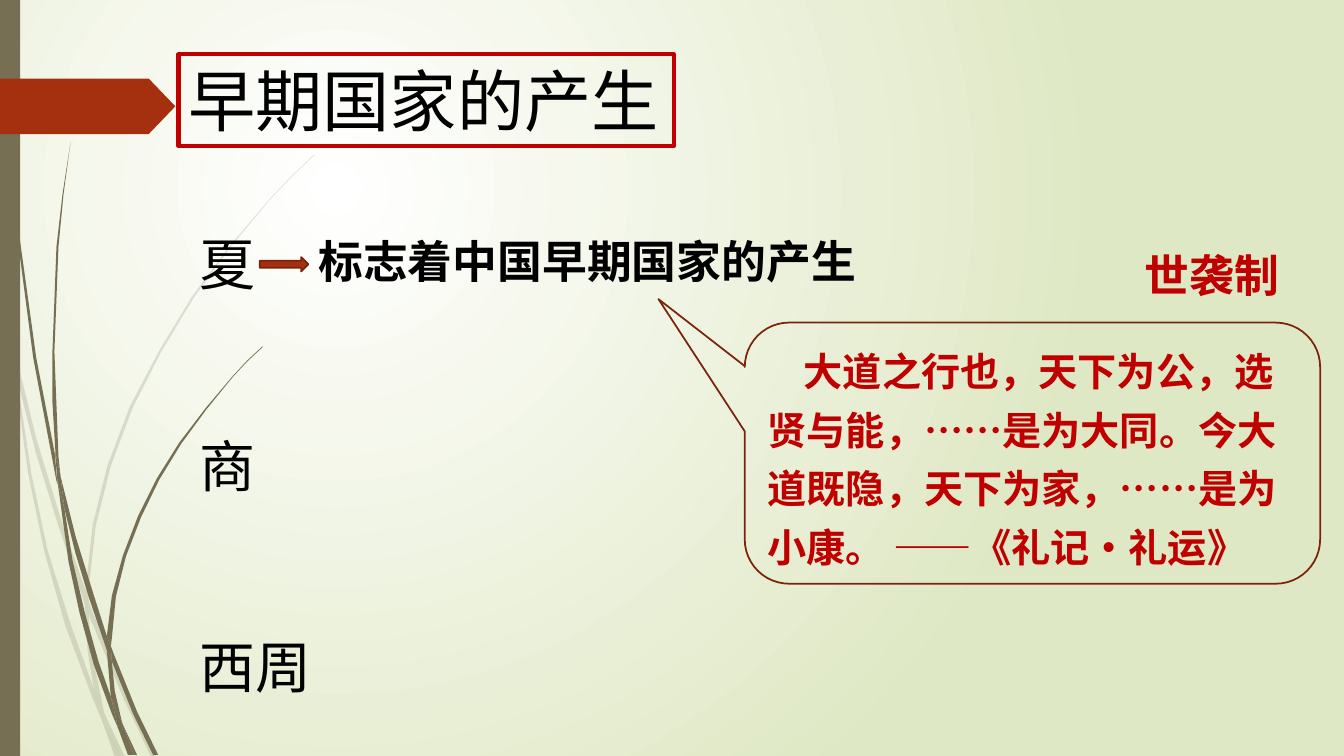
from dataclasses import dataclass

from lxml.etree import SubElement
from pptx import Presentation
from pptx.dml.color import RGBColor as Rgb
from pptx.enum.shapes import MSO_SHAPE as Preset
from pptx.enum.text import MSO_ANCHOR as Anchor, PP_ALIGN as Align
from pptx.oxml.ns import qn
from pptx.shapes.autoshape import Shape
from pptx.slide import Slide
from pptx.text.text import TextFrame
from pptx.util import Cm, Pt

Outline = tuple[tuple[int, int], ...]
GRASS_UNIT = Cm(0.0254)


@dataclass(frozen=True)
class Theme:
    """Colours, fonts and type sizes of the slide."""
    glow: Rgb = Rgb(0xFF, 0xFF, 0xFF)
    meadow: Rgb = Rgb(0xDF, 0xE8, 0xC4)
    stem: Rgb = Rgb(0x76, 0x6F, 0x54)
    rust: Rgb = Rgb(0xA5, 0x30, 0x10)
    rust_edge: Rgb = Rgb(0x7A, 0x24, 0x0C)
    crimson: Rgb = Rgb(0xC0, 0x00, 0x00)
    ink: Rgb = Rgb(0x00, 0x00, 0x00)
    title_font: str = "Noto Sans CJK JP"
    body_font: str = "Noto Sans CJK SC"
    title: int = 48
    dynasty: int = 40
    remark: int = 32
    quote: int = 28


THEME = Theme()


@dataclass(frozen=True)
class Box:
    """A rectangle in centimetres."""
    left: float
    top: float
    width: float
    height: float

    def lengths(self) -> tuple[Cm, Cm, Cm, Cm]:
        """Return the four lengths for a shape call."""
        return Cm(self.left), Cm(self.top), Cm(self.width), Cm(self.height)


@dataclass(frozen=True)
class Tuft:
    """A tuft of grass whose blade outlines are counted in grass units."""
    opacity: int
    blades: tuple[Outline, ...]


@dataclass(frozen=True)
class Label:
    """A line or column of unwrapped text."""
    box: Box
    lines: tuple[str, ...]
    size: int
    font: str = THEME.body_font
    color: Rgb = THEME.ink
    bold: bool = False
    gap: float = 0


FAINT_TUFT = Tuft(20, (
    ((11, 350), (9, 322), (0, 282), (0, 299), (10, 344)),
    ((58, 522), (84, 599), (85, 586), (62, 520), (36, 435), (14, 345), (17, 376), (36, 451)),
    ((92, 607), (88, 596), (88, 610), (123, 694), (150, 751), (155, 751), (127, 692)),
    ((119, 751), (124, 751), (105, 711)),
    ((93, 683), (70, 619), (47, 545), (31, 469), (17, 376), (11, 350), (28, 470), (44, 547),
     (65, 621), (92, 693), (101, 714), (99, 707)),
    ((84, 599), (87, 646), (93, 683), (96, 692), (105, 711), (103, 706), (91, 646), (88, 610), (88, 608)),
    ((88, 584), (95, 522), (110, 462), (132, 404), (160, 349), (192, 296), (229, 245), (268, 198),
     (290, 175), (312, 154), (312, 153), (289, 175), (268, 197), (228, 244), (190, 295), (158, 348),
     (129, 403), (107, 461), (92, 521), (85, 584), (85, 586), (88, 596)),
    ((101, 714), (114, 751), (119, 751)),
    ((88, 608), (88, 610), (88, 596), (85, 586), (84, 599)),
    ((96, 692), (93, 683), (99, 707), (101, 714), (119, 751), (105, 711)),
))
DARK_TUFT = Tuft(100, (
    ((7, 110), (17, 233), (33, 355), (56, 477), (57, 481), (55, 457), (55, 453), (36, 355), (19, 232),
     (8, 109), (5, 48), (4, 0), (3, 0), (4, 48)),
    ((88, 592), (106, 645), (106, 633), (106, 631), (93, 590), (75, 532), (60, 472), (64, 505), (75, 549)),
    ((113, 649), (110, 641), (111, 656), (132, 708), (152, 749), (157, 749), (136, 706)),
    ((110, 691), (98, 657), (84, 607), (72, 556), (64, 505), (57, 477), (68, 557), (79, 608),
     (93, 659), (111, 708), (117, 722), (116, 717)),
    ((60, 472), (58, 453), (54, 349), (58, 245), (63, 193), (70, 141), (62, 193), (56, 245),
     (52, 349), (52, 399), (55, 449)),
    ((133, 749), (136, 749), (122, 719)),
    ((57, 477), (64, 505), (60, 472), (55, 449), (55, 453)),
    ((111, 633), (115, 592), (125, 552), (140, 513), (158, 476), (180, 440), (205, 406), (231, 374),
     (245, 359), (261, 344), (260, 344), (245, 358), (231, 373), (204, 405), (178, 439), (156, 474),
     (137, 512), (122, 551), (111, 591), (106, 631), (110, 641)),
    ((117, 722), (127, 749), (131, 749)),
    ((106, 645), (110, 691), (116, 706), (122, 719), (121, 716), (114, 686), (111, 656), (109, 651)),
    ((106, 645), (109, 651), (111, 656), (110, 641), (106, 631)),
    ((116, 706), (110, 691), (116, 717), (117, 722), (130, 749), (133, 749), (122, 719)),
))

TITLE_BOX = Box(4.5, 1.37, 12.48, 2.31)
QUOTE = "大道之行也，天下为公，选贤与能，……是为大同。今大道既隐，天下为家，……是为小康。 ——《礼记•礼运》"
LABELS = (
    Label(TITLE_BOX, ("早期国家的产生",), THEME.title, THEME.title_font),
    Label(Box(4.78, 5.66, 3.35, 12.22), ("夏", "商", "西周"), THEME.dynasty, gap=96),
    Label(Box(7.77, 5.77, 14.25, 1.63), ("标志着中国早期国家的产生",), THEME.remark, bold=True),
    Label(Box(28.6, 6.13, 3.94, 1.63), ("世袭制",), THEME.remark, color=THEME.crimson, bold=True),
)


def write(frame: TextFrame, lines: tuple[str, ...], *, size: int, font: str, color: Rgb,
          bold: bool = False, gap: float = 0, leading: float = 0, indent: float = 0) -> None:
    """Fill a text frame with one formatted paragraph per line."""
    for index, line in enumerate(lines):
        paragraph = frame.add_paragraph() if index else frame.paragraphs[0]
        paragraph.alignment = Align.LEFT
        paragraph.space_before = Pt(gap if index else 0)
        if leading:
            paragraph.line_spacing = Pt(leading)
        if indent:
            paragraph._p.get_or_add_pPr().set("indent", str(Cm(indent)))
        run = paragraph.add_run()
        run.text = line
        run.font.size, run.font.bold, run.font.name = Pt(size), bold, font
        run.font.color.rgb = color
        SubElement(run._r.get_or_add_rPr(), qn("a:ea"), typeface=font)


def paint(shape: Shape, fill: Rgb | None = None, edge: Rgb | None = None,
          weight: float = 1.25, opacity: int = 100) -> Shape:
    """Give a shape its fill and outline without a shadow."""
    shape.shadow.inherit = False
    if fill is None:
        shape.fill.background()
    else:
        shape.fill.solid()
        shape.fill.fore_color.rgb = fill
        if opacity < 100:
            tint = shape.fill._xPr.find(".//" + qn("a:srgbClr"))
            SubElement(tint, qn("a:alpha"), val=str(opacity * 1000))
    if edge is None:
        shape.line.fill.background()
    else:
        shape.line.color.rgb = edge
        shape.line.width = Pt(weight)
    return shape


def draw_tuft(slide: Slide, tuft: Tuft) -> None:
    """Draw every blade of a tuft."""
    for root, *rest in tuft.blades:
        builder = slide.shapes.build_freeform(*root, scale=GRASS_UNIT)
        builder.add_line_segments(rest, close=True)
        paint(builder.convert_to_shape(), THEME.stem, opacity=tuft.opacity)


def draw_background(slide: Slide) -> None:
    """Lay a radial glow behind the slide."""
    fill = slide.background.fill
    fill.gradient()
    for stop, color in zip(fill.gradient_stops, (THEME.glow, THEME.meadow)):
        stop.color.rgb = color
    gradient = slide.element.find(".//" + qn("a:gradFill"))
    gradient.remove(gradient.find(qn("a:lin")))
    circle = SubElement(gradient, qn("a:path"), {"path": "circle"})
    SubElement(circle, qn("a:fillToRect"), l="50000", t="50000", r="100000", b="100000")


def draw_preset(slide: Slide, preset: Preset, box: Box, **look) -> Shape:
    """Add a painted preset shape."""
    return paint(slide.shapes.add_shape(preset, *box.lengths()), **look)


def draw_label(slide: Slide, label: Label) -> None:
    """Add an unwrapped text box."""
    frame = slide.shapes.add_textbox(*label.box.lengths()).text_frame
    frame.word_wrap = False
    write(frame, label.lines, size=label.size, font=label.font, color=label.color,
          bold=label.bold, gap=label.gap)


def draw_quote(slide: Slide) -> None:
    """Add the speech bubble with the classical quotation."""
    bubble = draw_preset(slide, Preset.ROUNDED_RECTANGULAR_CALLOUT, Box(18.77, 8.13, 14.5, 6.58),
                         edge=THEME.rust_edge)
    for index, value in enumerate((-0.65, -0.59, 0.17)):
        bubble.adjustments[index] = value
    bubble.text_frame.word_wrap = True
    bubble.text_frame.vertical_anchor = Anchor.MIDDLE
    write(bubble.text_frame, (QUOTE,), size=THEME.quote, font=THEME.body_font,
          color=THEME.crimson, bold=True, leading=41.8, indent=0.91)


def main() -> None:
    """Build and save the slide."""
    deck = Presentation()
    deck.slide_width, deck.slide_height = Cm(33.87), Cm(19.05)
    slide = deck.slides.add_slide(deck.slide_layouts[6])
    draw_background(slide)
    for tuft in (FAINT_TUFT, DARK_TUFT):
        draw_tuft(slide, tuft)
    draw_preset(slide, Preset.RECTANGLE, Box(0, 0, 0.51, 19.05), fill=THEME.stem)
    banner = draw_preset(slide, Preset.PENTAGON, Box(0, 1.98, 4.42, 1.4), fill=THEME.rust)
    banner.adjustments[0] = 0.48
    draw_preset(slide, Preset.RECTANGLE, TITLE_BOX, edge=THEME.crimson, weight=3)
    for label in LABELS:
        draw_label(slide, label)
    draw_preset(slide, Preset.RIGHT_ARROW, Box(6.55, 6.48, 1.22, 0.36),
                fill=THEME.rust, edge=THEME.rust_edge)
    draw_quote(slide)
    deck.save("out.pptx")


if __name__ == "__main__":
    main()
